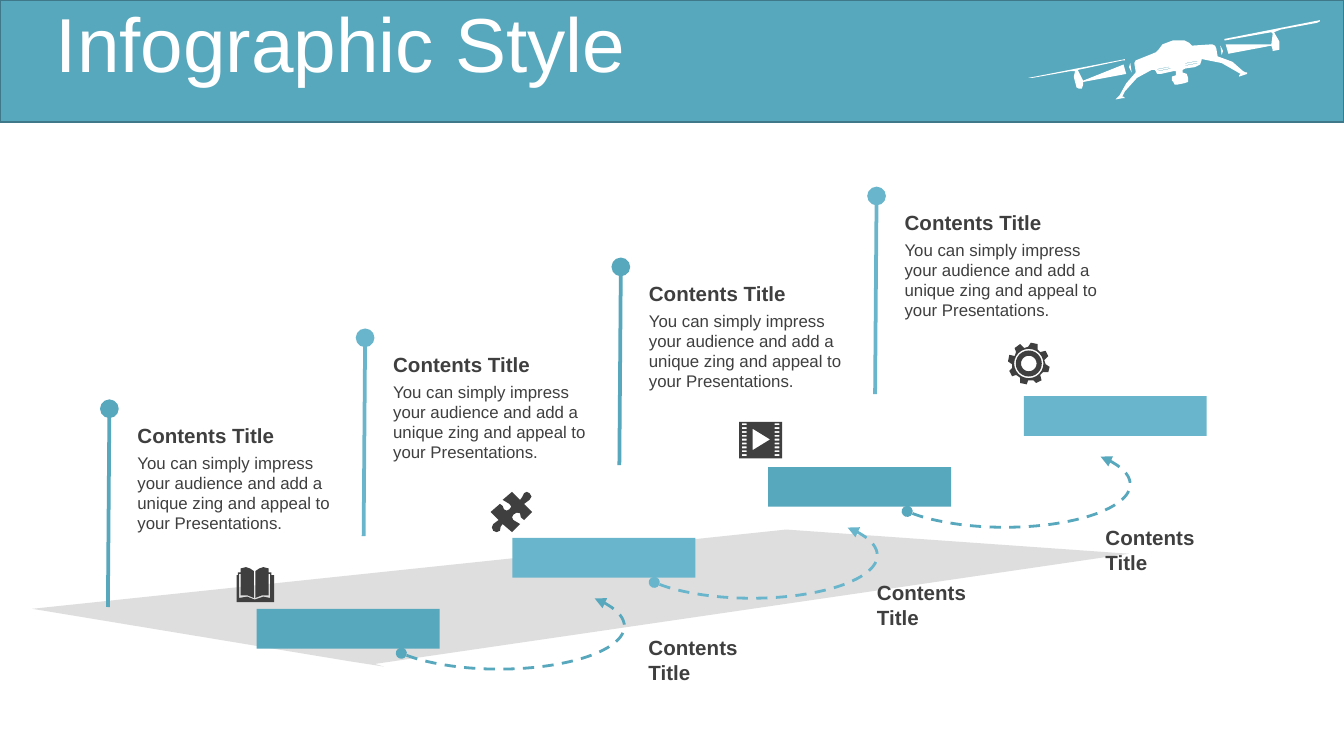
"""Build a one-page infographic of four rising steps under a drone banner."""
import math

import pptx
import pptx.dml.color
import pptx.enum.dml
import pptx.enum.shapes
import pptx.enum.text
import pptx.oxml.ns
import pptx.oxml.xmlchemy
import pptx.util

Pt = pptx.util.Pt
SHAPES = pptx.enum.shapes.MSO_SHAPE
TEAL, SKY, DARK, WHITE, GREY = "57A7BD", "69B6CC", "3F3F3F", "FFFFFF", "7F7F7F"
STEPS, STEP_RIGHT, STEP_UP = 4, 137, 38
HEADING = "Contents Title"
BODY = "You can simply impress your audience and add a unique zing and appeal to your Presentations."

DRONE = [
    ["911,29 982,15 982,16 980,17 953,22 948,24 952,31 952,34 952,37 947,38 947,37 946,34 914,40 912,33 "
     "946,33 947,25 946,24 940,25 912,30 911,30"],
    ["836,48 838,55 806,61 806,63 805,66 803,66 801,65 799,57 800,53 796,53 768,58 765,58 837,44 837,45 "
     "835,45 807,51 802,52 806,60"],
    ["841,47 842,54 840,50"],
    ["908,34 910,38 909,41"],
    ["927,54 925,53 917,46 906,42 905,36 904,34 902,33 887,34 885,32 881,30 873,30 865,33 862,37 860,39 "
     "845,45 844,47 845,53 845,54 838,62 833,71 831,73 830,74 836,73 837,73 836,72 835,72 837,68 846,58 "
     "857,52 859,52 860,53 861,55 864,55 873,53 875,53 875,56 872,57 872,60 873,61 874,63 876,63 881,62 "
     "884,61 884,58 883,55 880,54 880,52 882,51 889,50 893,48 894,45 894,44 909,47 923,55 922,56 922,57 "
     "928,55 928,54",
     "861,51.4 870,49.6 870,50 861,51.8", "862,52.6 871,50.8 871,51.2 862,53",
     "882,48.6 891,46.8 891,47.2 882,49", "882,47 891,45.2 891,45.6 882,47.4"],
]
GROUND = ["24,453 260,492 286,496 279,494 840,412 585,394"]
PUZZLE = ["394,367 395.5,369.5 394,372 390,375 396,381 390,387 387.5,385 387,382 384.5,381.5 382,383 "
          "381,385 382,387 387,390 381,396 374,390 372.5,392 372,395 369.5,396 367,395 366,392.5 367,390 "
          "371,387 365,381 372,375 374,376.5 375,379 377,380 379,379 380.5,377 379,375 374,372 381,366 "
          "387,372 388.5,370 390,367 392,366"]
BOOK = ["189,446 190,446 196,444 201,445 201,427 200,427 200,443 195,443 190,445 190,425 193,423 196,422 "
        "200,423 200,426 202,426 202,428 204,428 204,448 176,448 176,428 177,428 177,426 179,426 179,423 "
        "183,422 186,423 189,425 189,445 184,443 179,443 179,427 178,427 178,445 184,444"]
GEAR = ["772,256 772,260 774,262 778,261 780,265 777,268 778,271 781,273 780,277 776,277 774,279 775,283 "
        "771,285 769,283 765,283 764,286 759,285 759,281 756,279 753,280 751,276 753,274 753,271 750,269 "
        "751,264 755,265 756,262 755,259 759,256 762,259 765,258 767,255"]


def color(value):
    """Turn a hex string into a colour."""
    return pptx.dml.color.RGBColor.from_string(value)


def ring(x, y, radius):
    """Return the outline of a circle as coordinate text."""
    turns = [math.radians(angle) for angle in range(0, 360, 15)]
    return " ".join(f"{x + radius * math.cos(t):.2f},{y + radius * math.sin(t):.2f}" for t in turns)


def block(x, y, width, height):
    """Return the outline of a rectangle as coordinate text."""
    return f"{x},{y} {x + width},{y} {x + width},{y + height} {x},{y + height}"


def points(outline):
    """Turn coordinate text in hundredths of an inch into lengths."""
    return [tuple(Pt(float(part) * 0.72) for part in pair.split(",")) for pair in outline.split()]


class Painter:
    """Hold the style and the current slide."""

    font = "Arial"

    def __init__(self, page):
        """Start painting on a page."""
        self.page = page

    def format_text(self, box, size, shade, bold=False):
        """Give a text frame its insets, wrapping and font."""
        frame = box.text_frame
        frame.word_wrap = True
        frame.auto_size = pptx.enum.text.MSO_AUTO_SIZE.NONE
        frame.margin_left = frame.margin_right = Pt(5.4)
        frame.margin_top = frame.margin_bottom = Pt(2.7)
        for para in frame.paragraphs:
            for span in para.runs:
                span.font.name, span.font.size, span.font.bold = self.font, Pt(size), bold
                span.font.color.rgb = color(shade)

    def title(self, text, x, y, width, height, below):
        """Fill the title placeholder and lift it above a shape."""
        box = self.page.shapes.title
        box.left, box.top, box.width, box.height = Pt(x), Pt(y), Pt(width), Pt(height)
        box.text_frame.text = text
        box.text_frame.vertical_anchor = pptx.enum.text.MSO_ANCHOR.MIDDLE
        box.text_frame.paragraphs[0].alignment = pptx.enum.text.PP_ALIGN.LEFT
        box.text_frame.paragraphs[0].line_spacing = 0.9
        self.format_text(box, 41, WHITE)
        below.element.addnext(box.element)

    def text(self, text, x, y, width, height, size, bold=False):
        """Add a text box."""
        box = self.page.shapes.add_textbox(Pt(x), Pt(y), Pt(width), Pt(height))
        box.text_frame.text = text
        self.format_text(box, size, DARK, bold)

    def bar(self, x, y, width, height, fill, edge=None):
        """Add a filled rectangle."""
        shape = self.page.shapes.add_shape(SHAPES.RECTANGLE, Pt(x), Pt(y), Pt(width), Pt(height))
        return self.finish(shape, fill, edge)

    def finish(self, shape, fill, edge=None):
        """Set fill and outline and drop the shadow."""
        shape.shadow.inherit = False
        shape.fill.solid()
        shape.fill.fore_color.rgb = color(fill)
        if edge:
            shape.line.color.rgb = color(edge)
            shape.line.width = Pt(1)
        else:
            shape.line.fill.background()
        return shape

    def outline(self, outlines, fill, opacity=None):
        """Add a freeform whose inner outlines are holes."""
        first, *others = [points(outline) for outline in outlines]
        builder = self.page.shapes.build_freeform(*first[0])
        builder.add_line_segments(first[1:])
        for other in others:
            builder.move_to(*other[0])
            builder.add_line_segments(other[1:])
        shape = self.finish(builder.convert_to_shape(), fill)
        if opacity:
            tint = next(shape.element.iter(pptx.oxml.ns.qn("a:srgbClr")))
            self.child(tint, "a:alpha", val=str(opacity * 1000))

    def child(self, parent, tag, **attributes):
        """Append an XML element with attributes."""
        element = pptx.oxml.xmlchemy.OxmlElement(tag)
        for name, value in attributes.items():
            element.set(name, value)
        parent.append(element)

    def pin(self, x, bottom, top, shade):
        """Add a pole with a round head."""
        pole = self.page.shapes.add_connector(
            pptx.enum.shapes.MSO_CONNECTOR.STRAIGHT, Pt(x), Pt(bottom), Pt(x + 0.8), Pt(top))
        pole.line.color.rgb = color(shade)
        pole.line.width = Pt(2)
        self.child(pole.get_or_add_ln(), "a:tailEnd", type="oval", w="lg", len="lg")
        self.child(pole.element.spPr, "a:effectLst")

    def arc(self, x, y, width, height, shade):
        """Add a dashed arc that points up to the next step."""
        shape = self.page.shapes.add_shape(SHAPES.ARC, Pt(x), Pt(y), Pt(width), Pt(height))
        shape.adjustments[0], shape.adjustments[1] = 206.33, 98.7
        shape.shadow.inherit = False
        shape.fill.background()
        shape.line.color.rgb = color(shade)
        shape.line.width = Pt(1.5)
        shape.line.dash_style = pptx.enum.dml.MSO_LINE.DASH
        self.child(shape.get_or_add_ln(), "a:headEnd", type="triangle")
        self.child(shape.get_or_add_ln(), "a:tailEnd", type="oval")


def main():
    """Build and save the deck."""
    deck = pptx.Presentation()
    deck.slide_width, deck.slide_height = Pt(720), Pt(405)
    painter = Painter(deck.slides.add_slide(deck.slide_layouts[5]))

    banner = painter.bar(0, 0, 720, 65.5, TEAL, "3F7989")
    painter.title("Infographic Style", 24.5, 9.4, 502.5, 32.4, banner)
    for part in DRONE:
        painter.outline(part, WHITE)
    painter.outline(GROUND, GREY, 25)

    for step in range(STEPS):
        right, up = step * STEP_RIGHT, step * STEP_UP
        shade = (TEAL, SKY)[step % 2]
        painter.pin(57.8 + right, 325.2 - up, 219 - up, shade)
        painter.bar(137.5 + right, 326.2 - up, 98, 21.3, shade)
        painter.text(BODY, 68.2 + right, 239.6 - up, 118, 49, 9)
        painter.text(HEADING, 68.2 + right, 224 - up, 118, 18, 11, True)
        if step < STEPS - 1:
            painter.arc(200 + step * 135.5, 312.5 - up, 134.5, 46, shade)
            painter.text(HEADING, 342 + step * 122.4, 337.6 - step * 29.4, 81.4, 18, 11, True)

    painter.outline(PUZZLE, DARK)
    painter.outline(BOOK, DARK)
    holes = [block(x, 315 + 2.87 * row, 3.5, 1.4) for row in range(9) for x in (552, 576.3)]
    painter.outline([block(550, 314, 32, 27), "560,319 560,335 573,327"] + holes, DARK)
    painter.outline(GEAR + [ring(765.5, 270.5, radius) for radius in (10.9, 9.7, 5.8)], DARK)
    deck.save("out.pptx")


if __name__ == "__main__":
    main()
